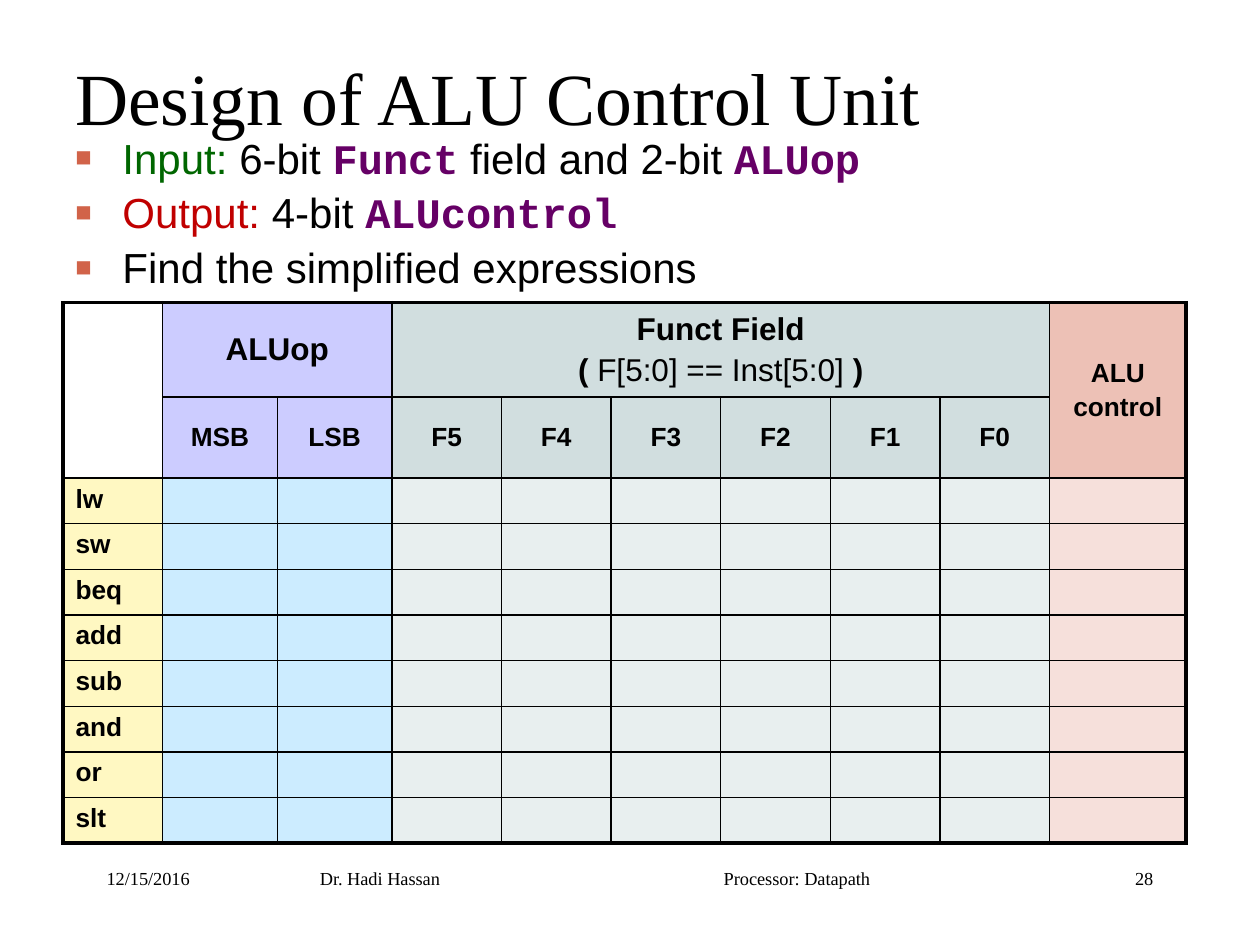
from typing import NamedTuple

from lxml import etree
from pptx import Presentation
from pptx import util as u
from pptx.dml.color import RGBColor
from pptx.enum import text
from pptx.oxml import ns

SERIF, SANS, MONO = "Times New Roman", "Arial", "Courier New"
BLACK, PURPLE = "000000", "660066"
LEFT, CENTER, RIGHT = text.PP_ALIGN.LEFT, text.PP_ALIGN.CENTER, text.PP_ALIGN.RIGHT
TOP, MIDDLE = text.MSO_ANCHOR.TOP, text.MSO_ANCHOR.MIDDLE
THICK, THIN = 2.25, 1


class Run(NamedTuple):
    text: str
    color: str = BLACK
    font: str = SANS
    bold: bool = False


class Box(NamedTuple):
    left: float
    top: float
    width: float
    height: float


class Header(NamedTuple):
    row: int
    column: int
    last_row: int
    last_column: int
    lines: list
    fill: str
    size: float = 15


def code(word: str) -> Run:
    return Run(word, PURPLE, MONO, True)


def bold(word: str) -> Run:
    return Run(word, bold=True)


def rgb(value: str) -> RGBColor:
    return RGBColor.from_string(value)


def add_element(parent, tag: str, **attributes: str):
    element = etree.SubElement(parent, ns.qn(tag))
    for name, value in attributes.items():
        element.set(name, value)
    return element


def add_bullet(paragraph) -> None:
    properties = paragraph._p.get_or_add_pPr()
    properties.set("marL", str(u.Cm(0.95)))
    properties.set("indent", str(-u.Cm(0.95)))
    color = add_element(properties, "a:buClr")
    add_element(color, "a:srgbClr", val="D16349")
    add_element(properties, "a:buSzPct", val="65000")
    add_element(properties, "a:buFont", typeface=SANS)
    add_element(properties, "a:buChar", char="■")


def write(frame, lines, size=15, align=LEFT, first_space=0.0, space=0.2, bullets=False) -> None:
    for index, line in enumerate(lines):
        paragraph = frame.add_paragraph() if index else frame.paragraphs[0]
        paragraph.alignment = align
        paragraph.space_before = u.Pt(size * (space if index else first_space))
        if bullets:
            add_bullet(paragraph)
        for part in line:
            run = paragraph.add_run()
            run.text = part.text
            run.font.size = u.Pt(size)
            run.font.name = part.font
            run.font.bold = part.bold
            run.font.color.rgb = rgb(part.color)


def add_text(slide, box: Box, lines, anchor=TOP, bottom=0.13, **formatting) -> None:
    shape = slide.shapes.add_textbox(*map(u.Cm, box))
    frame = shape.text_frame
    frame.word_wrap = True
    frame.vertical_anchor = anchor
    frame.margin_bottom = u.Cm(bottom)
    write(frame, lines, **formatting)


def set_borders(cell, widths: dict) -> None:
    properties = cell._tc.get_or_add_tcPr()
    for side, width in widths.items():
        line = add_element(properties, f"a:ln{side}", w=str(u.Pt(width)))
        fill = add_element(line, "a:solidFill")
        add_element(fill, "a:srgbClr", val=BLACK)


def set_fill(cell, color: str) -> None:
    cell.fill.solid()
    cell.fill.fore_color.rgb = rgb(color)


def add_truth_table(slide) -> None:
    instructions = ["lw", "sw", "beq", "add", "sub", "and", "or", "slt"]
    widths = [2.01] + [2.31] * 2 + [2.21] * 6 + [2.75]
    heights = [1.9, 1.53] + [0.92] * len(instructions)
    body_fills = ["FFF8C2"] + ["CCECFF"] * 2 + ["E8EFEF"] * 6 + ["F6E0DB"]
    lavender, gray = "CCCCFF", "D1DEDF"
    headers = [
        Header(0, 0, 1, 0, [], "FFFFFF"),
        Header(0, 1, 0, 2, [[bold("ALUop")]], lavender, 18),
        Header(0, 3, 0, 8, [[bold("Funct Field")],
                            [bold("( "), Run("F[5:0] == Inst[5:0] "), bold(")")]], gray, 18),
        Header(0, 9, 1, 9, [[bold("ALU")], [bold("control")]], "EDC1B6"),
    ]
    names = ["MSB", "LSB"] + [f"F{bit}" for bit in range(5, -1, -1)]
    for column, name in enumerate(names, 1):
        headers.append(Header(1, column, 1, column, [[bold(name)]],
                              lavender if column < 3 else gray))

    frame = slide.shapes.add_table(len(heights), len(widths), u.Cm(1.27), u.Cm(6.1),
                                   u.Cm(sum(widths)), u.Cm(sum(heights)))
    table = frame.table
    table.first_row = table.horz_banding = False
    for column, width in zip(table.columns, widths):
        column.width = u.Cm(width)
    for row, height in zip(table.rows, heights):
        row.height = u.Cm(height)

    last_row, last_column = len(heights) - 1, len(widths) - 1
    for row in range(len(heights)):
        for column, color in enumerate(body_fills):
            cell = table.cell(row, column)
            set_borders(cell, {
                "L": THIN if column else THICK,
                "R": THICK if column == last_column else THIN,
                "T": THIN if row else THICK,
                "B": THICK if row == last_row else THIN,
            })
            set_fill(cell, color)
            if row > 1 and column == 0:
                write(cell.text_frame, [[bold(instructions[row - 2])]])
            elif row > 1:
                ending = cell.text_frame.paragraphs[0]._p.get_or_add_endParaRPr()
                ending.set("sz", "1500")

    for header in headers:
        cell = table.cell(header.row, header.column)
        if (header.row, header.column) != (header.last_row, header.last_column):
            cell.merge(table.cell(header.last_row, header.last_column))
        set_fill(cell, header.fill)
        cell.vertical_anchor = MIDDLE
        write(cell.text_frame, header.lines, size=header.size, align=CENTER)


def main() -> None:
    presentation = Presentation()
    presentation.slide_width, presentation.slide_height = u.Cm(25.4), u.Cm(19.05)
    slide = presentation.slides.add_slide(presentation.slide_layouts[6])

    footers = [
        (Box(1.9, 17.35, 4.2, 1.27), "12/15/2016", LEFT),
        (Box(6.2, 17.35, 5, 0.97), "Dr. Hadi Hassan", LEFT),
        (Box(14.34, 17.35, 5, 0.97), "Processor: Datapath", LEFT),
        (Box(20.7, 17.35, 2.8, 1.27), "28", RIGHT),
    ]
    for box, label, align in footers:
        add_text(slide, box, [[Run(label, font=SERIF)]], size=10.5, align=align)

    add_text(slide, Box(1.27, 0.76, 22.86, 2.62),
             [[Run("Design of ALU Control Unit", font=SERIF)]],
             anchor=MIDDLE, bottom=0.41, size=42)
    add_text(slide, Box(1.27, 2.54, 22.86, 3.6), [
        [Run("Input: ", "006600"), Run("6-bit "), code("Funct"),
         Run(" field and 2-bit "), code("ALUop")],
        [Run("Output: ", "C00000"), Run("4-bit "), code("ALUcontrol")],
        [Run("Find the simplified expressions")],
    ], size=24, first_space=0.1, space=0.1, bullets=True)
    add_truth_table(slide)
    presentation.save("out.pptx")


if __name__ == "__main__":
    main()
